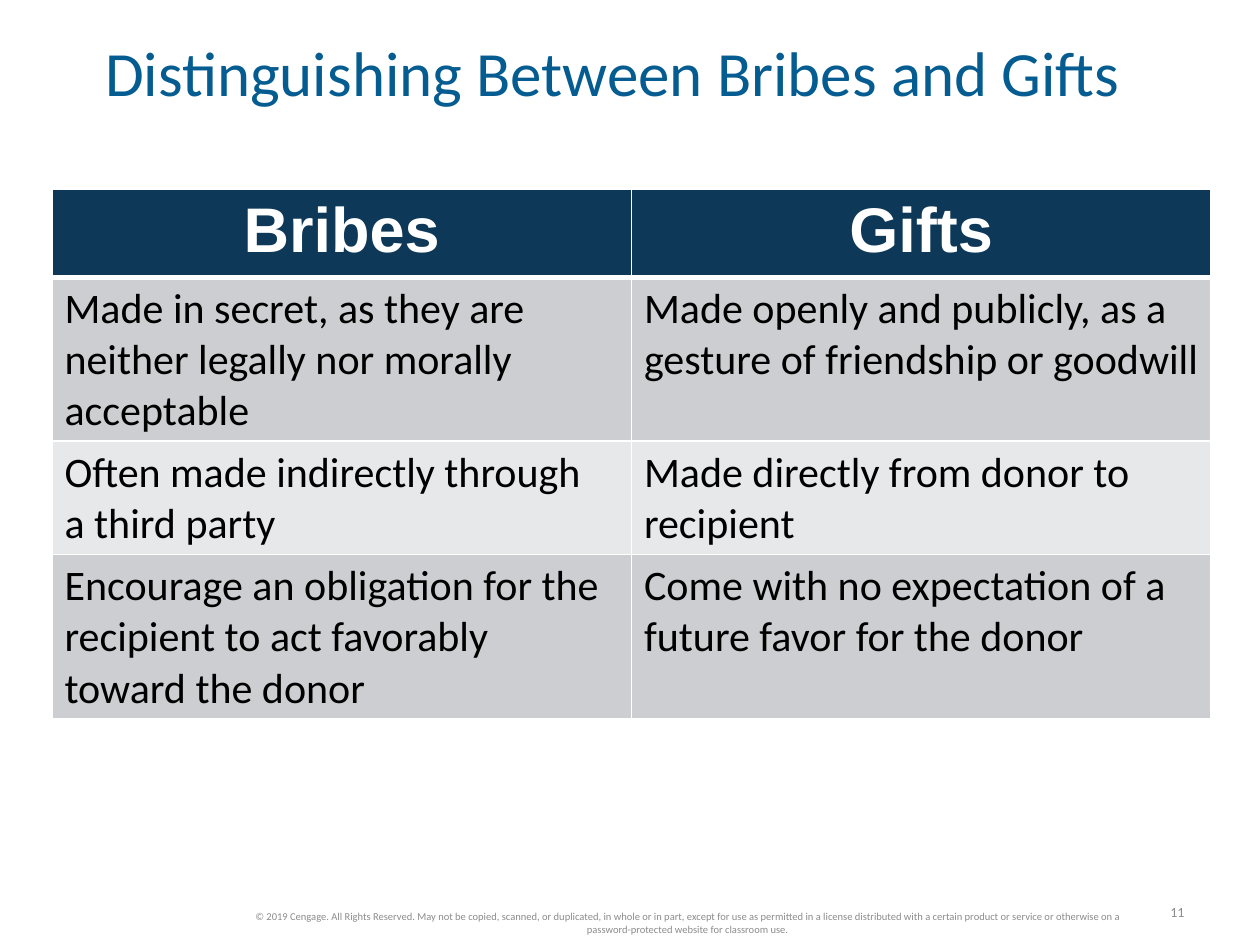
from lxml import etree
from pptx import Presentation
from pptx.dml.color import RGBColor
from pptx.enum.text import MSO_ANCHOR, PP_ALIGN
from pptx.oxml.ns import qn
from pptx.util import Pt

LEFT, CENTER, RIGHT = PP_ALIGN.LEFT, PP_ALIGN.CENTER, PP_ALIGN.RIGHT
MIDDLE = MSO_ANCHOR.MIDDLE
SCALE = 914400 / 126

TITLE = "Distinguishing Between Bribes and Gifts"
ROWS = [
    ("Bribes", "Gifts"),
    ("Made in secret, as they are neither legally nor morally acceptable",
     "Made openly and publicly, as a gesture of friendship or goodwill"),
    ("Often made indirectly through \va third party",
     "Made directly from donor to recipient"),
    ("Encourage an obligation for the recipient to act favorably toward the donor",
     "Come with no expectation of a future favor for the donor"),
]
NOTICE = ("© 2019 Cengage. All Rights Reserved. May not be copied, scanned, or "
          "duplicated, in whole or in part, except for use as permitted in a "
          "license distributed with a certain product or service or otherwise "
          "on a password-protected website for classroom use.")
NUMBER = "11"

HEAD_FILL = "0D3857"
BANDS = ("CCCED1", "E7E8EA")
RULE = "FFFFFF"
HEAD = {"name": "Arial", "size": Pt(36), "bold": True, "color": "FFFFFF"}
BODY = {"name": "Calibri", "size": Pt(24), "bold": False, "color": "000000"}
TOP = {"name": "Calibri", "size": Pt(36), "color": "055C91"}
SMALL = {"name": "Calibri", "size": Pt(6), "color": "8C8C8C"}
PAGE = {**SMALL, "size": Pt(8)}


def px(*vals):
    return [round(v * SCALE) for v in vals]


def rgb(code):
    return RGBColor.from_string(code)


def write(frame, text, look, align):
    frame.text = text
    para = frame.paragraphs[0]
    para.alignment = align
    for run in para.runs:
        for key, val in look.items():
            if key == "color":
                run.font.color.rgb = rgb(val)
            else:
                setattr(run.font, key, val)
    return para


def edge(cell, widths):
    """Draw cell borders, given as points for each side; call before the fill."""
    props = cell._tc.get_or_add_tcPr()
    for side, width in widths.items():
        line = etree.SubElement(props, qn(f"a:ln{side}"), w=str(Pt(width)))
        fill = etree.SubElement(line, qn("a:solidFill"))
        etree.SubElement(fill, qn("a:srgbClr"), val=RULE)


def label(slide, box, text, look, align, wrap):
    frame = slide.shapes.add_textbox(*px(*box)).text_frame
    frame.word_wrap = wrap
    frame.vertical_anchor = MIDDLE
    write(frame, text, look, align)


def add_title(slide):
    title = slide.shapes.title
    title.left, title.top, title.width, title.height = px(105, 44, 1106, 66)
    frame = title.text_frame
    frame.vertical_anchor = MIDDLE
    for side in ("left", "top", "right", "bottom"):
        setattr(frame, f"margin_{side}", 0)
    write(frame, TITLE, TOP, LEFT).line_spacing = 0.85


def add_grid(slide):
    high = 51
    table = slide.shapes.add_table(
        len(ROWS), 2, *px(52, 189, 1159, high * len(ROWS))).table
    for r, texts in enumerate(ROWS):
        look, align = (BODY, LEFT) if r else (HEAD, CENTER)
        fill = BANDS[(r - 1) % 2] if r else HEAD_FILL
        for c, text in enumerate(texts):
            cell = table.cell(r, c)
            edge(cell, {"L": 1, "R": 1, "T": 3 if r == 1 else 1,
                        "B": 1 if r else 3})
            cell.fill.solid()
            cell.fill.fore_color.rgb = rgb(fill)
            write(cell.text_frame, text, look, align)


def main():
    deck = Presentation()
    deck.slide_width, deck.slide_height = px(1260, 945)
    slide = deck.slides.add_slide(deck.slide_layouts[5])
    label(slide, (1154, 897, 43, 30), NUMBER, PAGE, RIGHT, False)
    add_grid(slide)
    add_title(slide)
    label(slide, (220, 906, 935, 34), NOTICE, SMALL, CENTER, True)
    deck.save("out.pptx")


if __name__ == "__main__":
    main()
